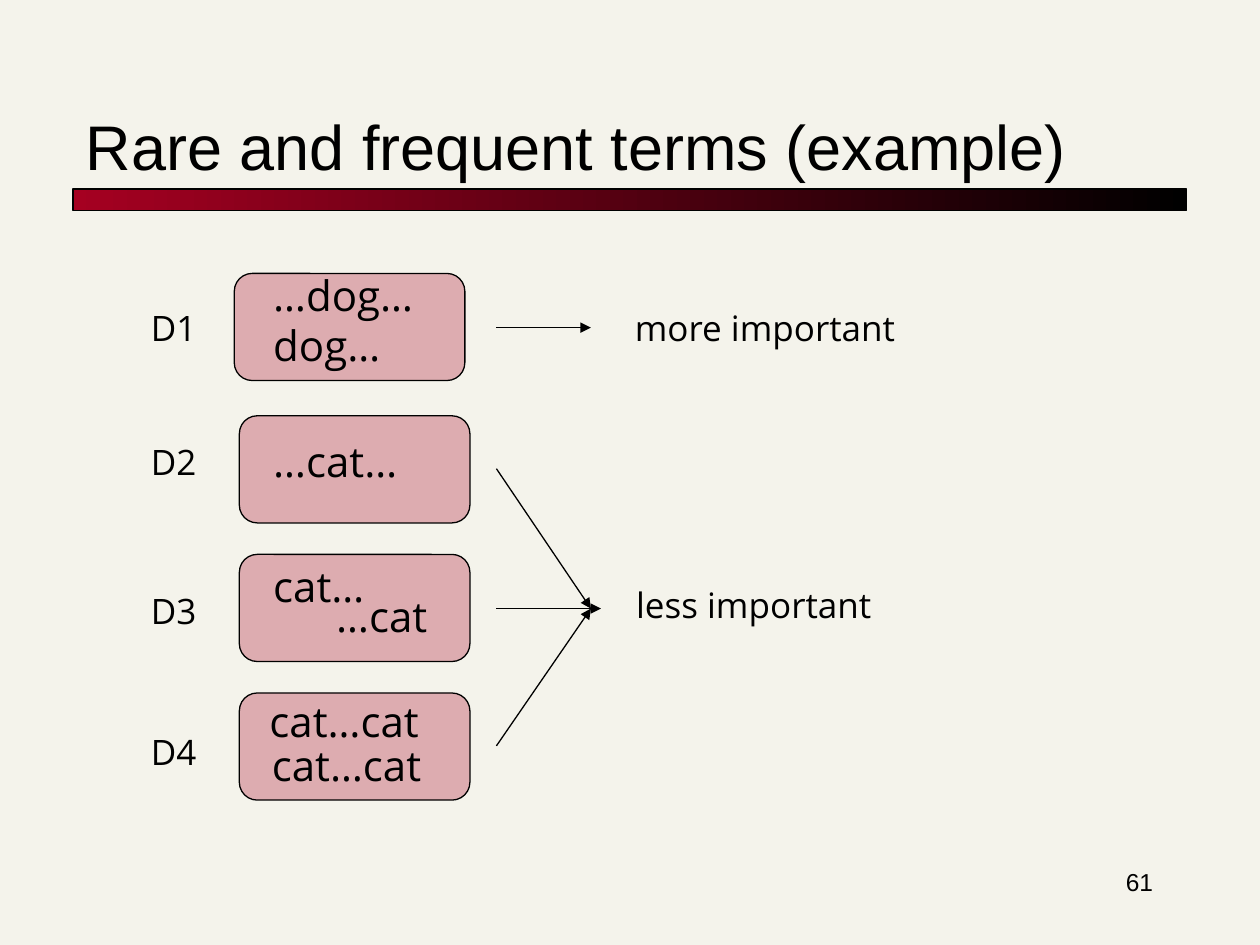
from lxml import etree
from pptx import Presentation
from pptx.dml.color import RGBColor
from pptx.enum import shapes, text
from pptx.oxml.ns import qn
from pptx.util import Inches, Pt

COLORS = {"background": "F4F3EB", "accent": "A50021", "ink": "000000"}


def rgb(name):
    return RGBColor.from_string(COLORS[name])


def write(tf, content, size=24, font="Open Sans", color="ink",
          align=text.PP_ALIGN.LEFT, anchor=text.MSO_ANCHOR.TOP, wrap=True):
    """Fill a text frame, one paragraph per line of content."""
    tf.text = content
    tf.word_wrap = wrap
    tf.vertical_anchor = anchor
    for p in tf.paragraphs:
        p.alignment = align
        p.font.size = Pt(size)
        p.font.name = font
        p.font.color.rgb = rgb(color)


class SlideBuilder:
    def __init__(self, slide, line_width=0.75, opacity=29):
        self.s = slide
        self.line_width = line_width
        self.opacity = opacity

    def background(self):
        fill = self.s.background.fill
        fill.solid()
        fill.fore_color.rgb = rgb("background")

    def outline(self, sp):
        sp.line.color.rgb = rgb("ink")
        sp.line.width = Pt(self.line_width)

    def shape(self, kind, x, y, w, h):
        sp = self.s.shapes.add_shape(
            kind, Inches(x), Inches(y), Inches(w), Inches(h))
        sp.shadow.inherit = False
        self.outline(sp)
        return sp

    def title(self, content, x, y, w, h):
        sp = self.s.shapes.title
        sp.left, sp.top, sp.width, sp.height = map(Inches, (x, y, w, h))
        write(sp.text_frame, content, size=36, font="Arial",
              anchor=text.MSO_ANCHOR.BOTTOM)

    def gradient_bar(self, x, y, w, h):
        sp = self.shape(shapes.MSO_SHAPE.RECTANGLE, x, y, w, h)
        sp.fill.gradient()
        sp.fill.gradient_angle = 0
        for i, (stop, name) in enumerate(
                zip(sp.fill.gradient_stops, ("accent", "ink"))):
            stop.position = i
            stop.color.rgb = rgb(name)

    def document(self, x, y, w=1.83, h=0.85):
        sp = self.shape(shapes.MSO_SHAPE.ROUNDED_RECTANGLE, x, y, w, h)
        sp.adjustments[0] = 0.167
        sp.fill.solid()
        sp.fill.fore_color.rgb = rgb("accent")
        clr = sp.fill._xPr.find(qn("a:solidFill")).find(qn("a:srgbClr"))
        etree.SubElement(clr, qn("a:alpha"), val=str(self.opacity * 1000))

    def label(self, content, x, y, w, h, **fmt):
        sp = self.s.shapes.add_textbox(
            Inches(x), Inches(y), Inches(w), Inches(h))
        write(sp.text_frame, content, **fmt)

    def arrow(self, x1, y1, x2, y2):
        c = self.s.shapes.add_connector(
            shapes.MSO_CONNECTOR.STRAIGHT,
            Inches(x1), Inches(y1), Inches(x2), Inches(y2))
        self.outline(c)
        etree.SubElement(c.line._get_or_add_ln(), qn("a:tailEnd"),
                         type="triangle")
        etree.SubElement(c._element.spPr, qn("a:effectLst"))


def main():
    prs = Presentation()
    prs.slide_width, prs.slide_height = Inches(10), Inches(7.5)
    b = SlideBuilder(prs.slides.add_slide(prs.slide_layouts[5]))

    # Background, title and bar
    b.background()
    b.gradient_bar(0.58, 1.5, 8.84, 0.17)
    b.title("Rare and frequent terms (example)", 0.58, 0.42, 8.83, 1.08)

    # Documents: name, name top, box left and top
    documents = [("D1", 2.38, 1.86, 2.17), ("D2", 3.45, 1.9, 3.3),
                 ("D3", 4.63, 1.9, 4.4), ("D4", 5.75, 1.9, 5.5)]
    for name, name_y, x, y in documents:
        b.document(x, y)
        b.label(name, 1.1, name_y, 0.56, 0.44, size=20, wrap=False)

    # Terms inside the documents
    terms = [("…dog…\ndog…", 2.07, 2.09, 1.55, 0.9),
             ("…cat…", 2.07, 3.41, 1.42, 0.5),
             ("cat…", 2.07, 4.4, 1.4, 0.5),
             ("…cat", 2.57, 4.64, 1.17, 0.5),
             ("cat…cat", 2.04, 5.47, 1.65, 0.5),
             ("cat…cat", 2.06, 5.82, 1.56, 0.5)]
    for term in terms:
        b.label(*term)

    # Arrows from the documents to their importance
    for y1, x2, y2 in [(2.6, 4.69, 2.6), (3.72, 4.69, 4.83),
                       (5.92, 4.69, 4.83), (4.83, 4.77, 4.83)]:
        b.arrow(3.94, y1, x2, y2)
    b.label("more important", 4.94, 2.38, 2.29, 0.44, size=20, wrap=False)
    b.label("less important", 4.95, 4.58, 2.08, 0.44, size=20, wrap=False)

    # Slide number
    b.label("61", 7.17, 6.83, 2.08, 0.5, size=14, font="Arial",
            align=text.PP_ALIGN.RIGHT)

    prs.save("out.pptx")


if __name__ == "__main__":
    main()
